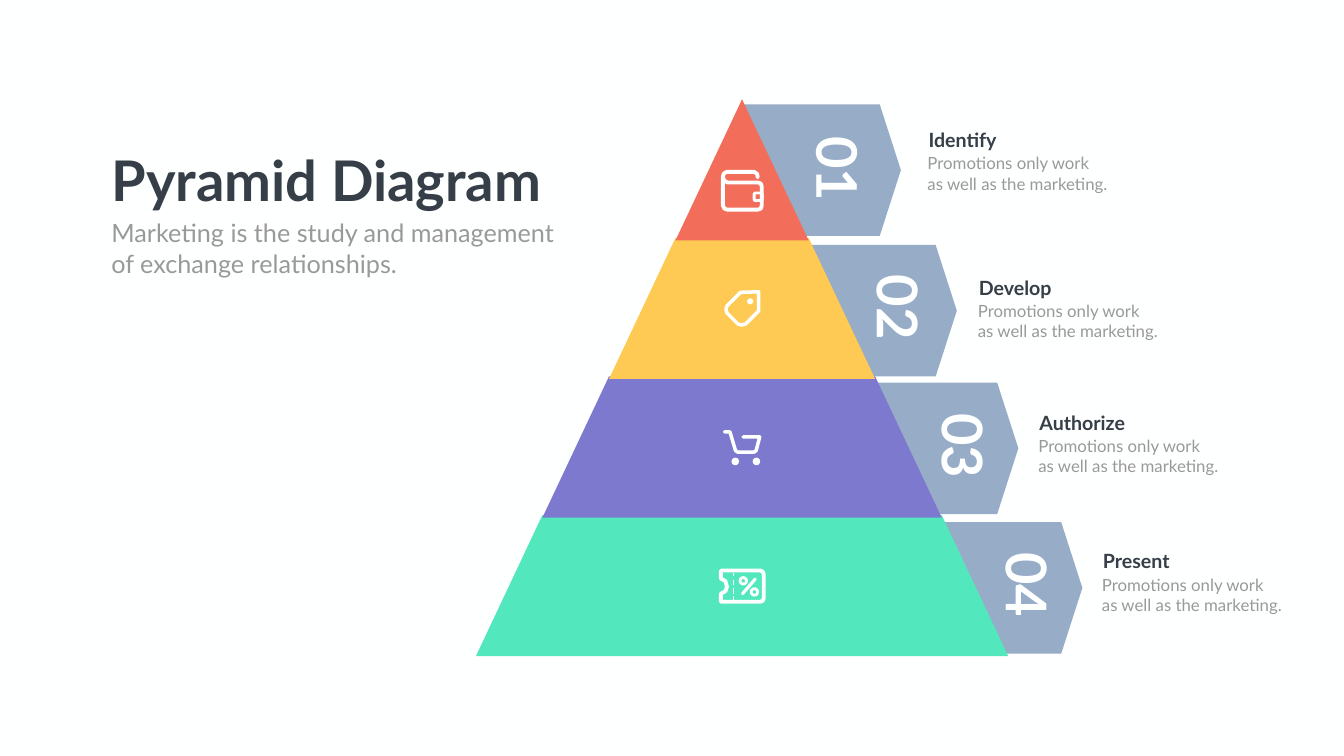
"""Build a four-level pyramid diagram slide with numbered arrows and labels."""
from lxml import etree
from pptx import Presentation
from pptx import util as u
from pptx.dml.color import RGBColor
from pptx.enum import shapes, text
from pptx.oxml.ns import qn

WHITE = RGBColor(0xFE, 0xFF, 0xFF)
DARK = RGBColor(0x36, 0x3E, 0x48)
GRAY = RGBColor(0x98, 0x99, 0x98)
STEEL = RGBColor(0x97, 0xAC, 0xC7)
RED = RGBColor(0xF2, 0x6E, 0x5B)
YELLOW = RGBColor(0xFE, 0xCA, 0x53)
PURPLE = RGBColor(0x7D, 0x79, 0xCF)
GREEN = RGBColor(0x53, 0xE7, 0xBE)

TITLE = "Pyramid Diagram"
SUBTITLE = ["Marketing is the study and management", "of exchange relationships."]
DETAIL = ["Promotions only work", "as well as the marketing."]
LEVELS = [
    {"number": "01", "heading": "Identify", "color": RED, "arrow": (17.87, 2.07),
     "center": 16.63, "label": (18.32, 2.49)},
    {"number": "02", "heading": "Develop", "color": YELLOW, "arrow": (18.98, 4.86),
     "center": 17.83, "label": (19.32, 5.42)},
    {"number": "03", "heading": "Authorize", "color": PURPLE, "arrow": (20.2, 7.59),
     "center": 19.12, "label": (20.52, 8.1)},
    {"number": "04", "heading": "Present", "color": GREEN, "arrow": (21.47, 10.36),
     "center": 20.39, "label": (21.78, 10.85)},
]
WALLET = [(15.03, 3.52), (15.02, 3.45), (14.96, 3.41), (14.42, 3.41), (14.36, 3.44),
          (14.34, 3.5), (14.34, 4.08), (14.37, 4.14), (14.43, 4.16), (15.03, 4.16),
          (15.09, 4.14), (15.11, 4.08), (15.11, 3.7), (15.09, 3.64), (15.03, 3.62),
          (14.43, 3.62), (14.36, 3.58), (14.34, 3.5)]
TAG = [(14.69, 5.8), (15.05, 5.79), (15.05, 6.17), (14.79, 6.43), (14.71, 6.45),
       (14.64, 6.43), (14.42, 6.21), (14.4, 6.14), (14.42, 6.07), (14.69, 5.8)]
CART = [(14.37, 8.57), (14.48, 8.57), (14.59, 8.94), (14.63, 8.97), (14.96, 8.97),
        (15, 8.94), (15.07, 8.67), (14.74, 8.67)]
TICKET = [(14.3, 11.32), (15.08, 11.32), (15.13, 11.34), (15.15, 11.4), (15.15, 11.87),
          (15.13, 11.92), (15.08, 11.94), (14.3, 11.94), (14.3, 11.78), (14.39, 11.73),
          (14.42, 11.64), (14.39, 11.53), (14.3, 11.48), (14.3, 11.32)]
STROKES = [(WALLET, 5.5), (TAG, 5), (CART, 5), (TICKET, 5.5),
           ([(14.73, 11.78), (14.98, 11.49)], 4.5)]
PERFORATION = [(11.37, 11.43), (11.5, 11.61), (11.66, 11.78), (11.82, 11.9)]
DOTS = [(14.82, 5.92, 0.12), (14.51, 9.08, 0.15), (14.93, 9.08, 0.15)]
RINGS = [(14.9, 11.68, 0.13), (14.68, 11.46, 0.13)]
APEX_X, APEX_Y, PITCH, LEVEL_H, HALF_STEP = 14.72, 1.97, 2.75, 2.8, 1.32
ARROW_H, ARROW_POINT = 2.61, 0.42
HEAD = {"size": u.Pt(28), "bold": True}
BODY = {"size": u.Pt(24), "bold": False}
BIG = {"size": u.Pt(80), "bold": True}


def place(sp, *box):
    for name, value in zip(("left", "top", "width", "height"), box):
        setattr(sp, name, u.Inches(value))


def write(sp, lines, color, fmt):
    tf = sp.text_frame
    for name, value in {"word_wrap": True, "auto_size": text.MSO_AUTO_SIZE.NONE,
                        "vertical_anchor": text.MSO_ANCHOR.TOP}.items():
        setattr(tf, name, value)
    for i, line in enumerate(lines):
        p = tf.add_paragraph() if i else tf.paragraphs[0]
        p.alignment, p.space_before = text.PP_ALIGN.LEFT, u.Pt(0)
        r = p.add_run()
        r.text = line
        for name, value in {"name": "Lato", **fmt}.items():
            setattr(r.font, name, value)
        r.font.color.rgb = color


def label(slide, box, lines, color, fmt):
    sp = slide.shapes.add_textbox(*map(u.Inches, box))
    write(sp, lines, color, fmt)
    return sp


def paint(sp, color):
    sp.shadow.inherit = False
    sp.fill.solid()
    sp.fill.fore_color.rgb = color
    sp.line.fill.background()


def outline(sp, width, cap="rnd"):
    sp.line.color.rgb = WHITE
    sp.line.width = u.Pt(width)
    ln = sp.element.spPr.find(qn("a:ln"))
    ln.set("cap", cap)
    etree.SubElement(ln, qn("a:round"))


def preset(slide, kind, *box):
    return slide.shapes.add_shape(kind, *map(u.Inches, box))


def freeform(slide, points, close):
    start, *rest = [(u.Inches(x), u.Inches(y)) for x, y in points]
    builder = slide.shapes.build_freeform(*start)
    builder.add_line_segments(rest, close=close)
    return builder.convert_to_shape()


def hollow(sp, width):
    sp.shadow.inherit = False
    sp.fill.background()
    outline(sp, width)


def stroke(slide, points, width, cap="rnd"):
    if len(points) > 2:
        hollow(freeform(slide, points, points[0] == points[-1]), width)
        return
    ends = [u.Inches(v) for point in points for v in point]
    line = slide.shapes.add_connector(shapes.MSO_CONNECTOR.STRAIGHT, *ends)
    outline(line, width, cap)
    etree.SubElement(line.element.spPr, qn("a:effectLst"))


def draw_icons(slide):
    for points, width in STROKES:
        stroke(slide, points, width)
    for top, bottom in PERFORATION:
        stroke(slide, [(14.55, top), (14.55, bottom)], 2.5, "flat")
    for x, y, size in DOTS:
        paint(preset(slide, shapes.MSO_SHAPE.OVAL, x, y, size, size), WHITE)
    for x, y, size in RINGS:
        hollow(preset(slide, shapes.MSO_SHAPE.OVAL, x, y, size, size), 4)
    hollow(preset(slide, shapes.MSO_SHAPE.ROUNDED_RECTANGLE, 14.96, 3.83, 0.16, 0.15), 4)


def main():
    prs = Presentation()
    prs.slide_width, prs.slide_height = u.Inches(26.66), u.Inches(15)
    slide = prs.slides.add_slide(prs.slide_layouts[0])
    slide.background.fill.solid()
    slide.background.fill.fore_color.rgb = WHITE

    title, subtitle = slide.placeholders
    place(title, 2.11, 2.84, 8.9, 1.45)
    write(title, [TITLE], DARK, BIG)
    place(subtitle, 2.11, 4.27, 9.74, 1.31)
    write(subtitle, SUBTITLE, GRAY, {"size": u.Pt(36), "bold": False})

    for level in LEVELS:
        tip, top = level["arrow"]
        arrow = preset(slide, shapes.MSO_SHAPE.PENTAGON, APEX_X, top, tip - APEX_X, ARROW_H)
        arrow.adjustments[0] = ARROW_POINT / ARROW_H
        paint(arrow, STEEL)

    for i, level in reversed(list(enumerate(LEVELS))):
        top, upper, lower = APEX_Y + PITCH * i, HALF_STEP * i, HALF_STEP * (i + 1)
        corners = [(APEX_X - lower, top + LEVEL_H), (APEX_X + lower, top + LEVEL_H),
                   (APEX_X + upper, top)]
        if i:
            corners.append((APEX_X - upper, top))
        paint(freeform(slide, corners, True), level["color"])

    draw_icons(slide)

    for i, level in enumerate(LEVELS):
        x, y = level["label"]
        label(slide, (x, y, 2.16, 0.57), [level["heading"]], DARK, HEAD)
        label(slide, (x - 0.02, y + 0.5, 3.84, 0.91), DETAIL, GRAY, BODY)
        box = (level["center"] - 0.75, 2.63 + PITCH * i, 1.5, 1.45)
        label(slide, box, [level["number"]], WHITE, BIG).rotation = 90

    prs.save("out.pptx")


if __name__ == "__main__":
    main()
